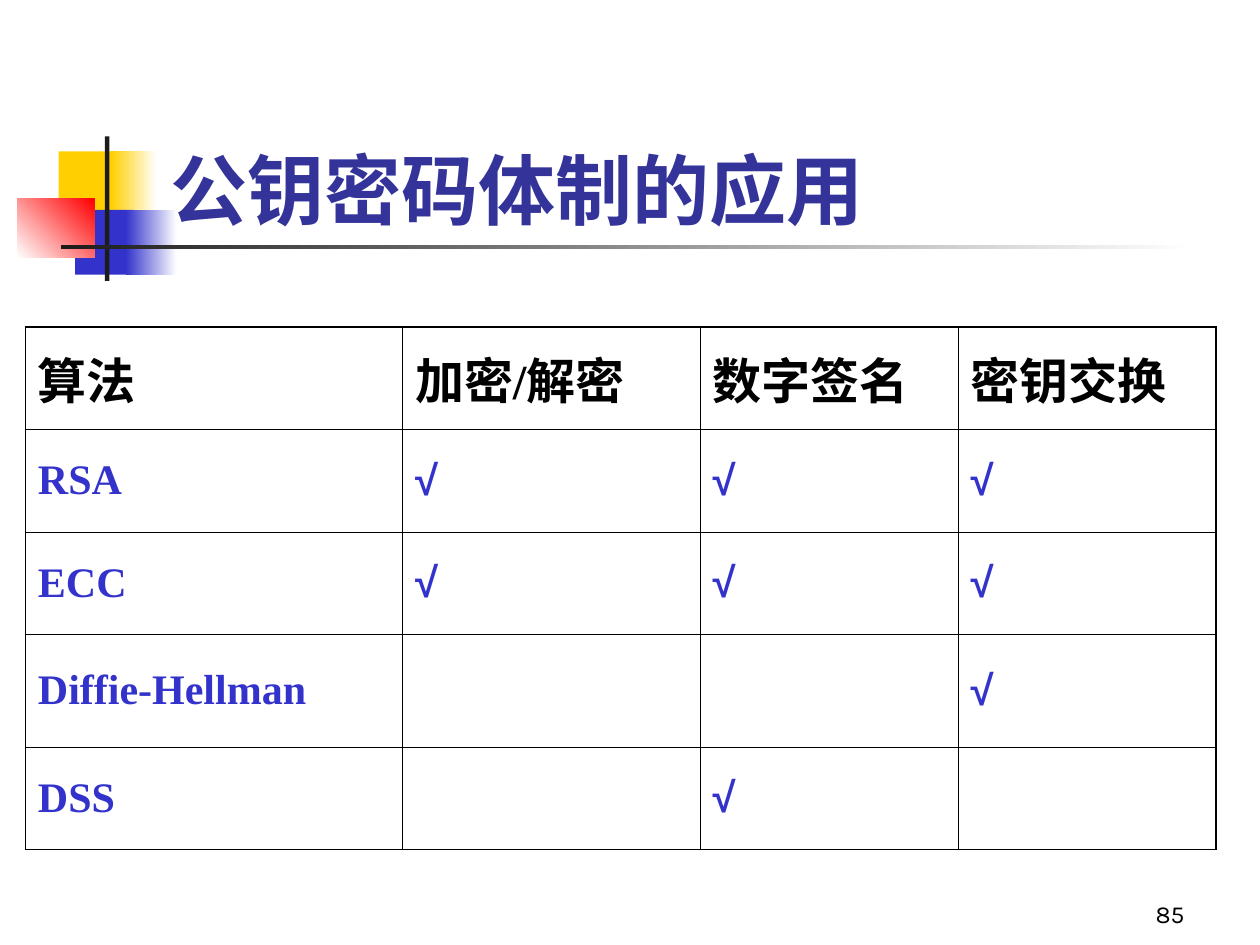
import pptx
import pptx.dml.color
import pptx.enum.shapes
import pptx.enum.text
import pptx.oxml
import pptx.oxml.ns
import pptx.util

Pt = pptx.util.Pt
ANCHOR = pptx.enum.text.MSO_ANCHOR
ALIGN = pptx.enum.text.PP_ALIGN

BLACK, WHITE, INK = "000000", "FFFFFF", "1C1C1C"
YELLOW, BLUE, RED, TITLE_BLUE = "FFCF01", "3333CC", "FF0000", "333399"
SERIF, SANS, NUMBER_FONT = "Times New Roman", "Arial", "Karla"
THIN, THICK = 0.45, 1.08

HEADER = ["算法", "加密/解密", "数字签名", "密钥交换"]
ALGORITHMS = [
    ("RSA", "√", "√", "√"),
    ("ECC", "√", "√", "√"),
    ("Diffie-Hellman", "", "", "√"),
    ("DSS", "", "√", ""),
]
COLUMN_WIDTHS = [215.5, 170, 147.5, 147.5]
ROW_HEIGHTS = [58.5, 58.5, 58.5, 64.5, 58.5]


def color(value):
    return pptx.dml.color.RGBColor.from_string(value)


def set_font(paragraph, name, size, value, bold=False):
    font = paragraph.font
    font.name, font.size, font.bold = name, Pt(size), bold
    font.color.rgb = color(value)


def add_block(slide, box, start, end=None, angle=0):
    """Rectangle with a plain fill, or a gradient when an end colour is given."""
    shape = slide.shapes.add_shape(
        pptx.enum.shapes.MSO_SHAPE.RECTANGLE, *map(Pt, box))
    shape.shadow.inherit = False
    shape.line.fill.background()
    if end is None:
        shape.fill.solid()
        shape.fill.fore_color.rgb = color(start)
        return
    shape.fill.gradient()
    shape.fill.gradient_angle = angle
    for stop, value in zip(shape.fill.gradient_stops, (start, end)):
        stop.color.rgb = color(value)


def add_ornament(slide, left, top):
    """Coloured blocks with a crosshair and a fading rule."""
    blocks = [
        (31.5, 8.5, 34.5, 37.5, YELLOW),
        (61.5, 8.5, 26, 37.5, YELLOW, WHITE),
        (41, 42, 33, 37, BLUE),
        (70, 42, 29, 37, BLUE, WHITE),
        (8, 35.5, 44, 33.5, WHITE, RED, 45),
        (58, 0, 2.5, 82.5, INK),
        (33, 62, 648, 2.5, INK, WHITE),
    ]
    for x, y, width, height, *fill in blocks:
        add_block(slide, (left + x - 8 + 10 - 0.5 - 1.5, top + y, width, height), *fill)


def add_text(slide, box, text, name, size, value, bold=False, align=ALIGN.LEFT):
    frame = slide.shapes.add_textbox(*map(Pt, box)).text_frame
    frame.word_wrap = True
    frame.vertical_anchor = ANCHOR.BOTTOM
    paragraph = frame.paragraphs[0]
    paragraph.text = text
    paragraph.alignment = align
    set_font(paragraph, name, size, value, bold)


def set_borders(cell, widths):
    properties = cell._tc.get_or_add_tcPr()
    for side, width in zip("LRTB", widths):
        properties.append(pptx.oxml.parse_xml(
            f'<a:ln{side} {pptx.oxml.ns.nsdecls("a")} w="{Pt(width)}">'
            f'<a:solidFill><a:srgbClr val="{BLACK}"/></a:solidFill></a:ln{side}>'))


def add_algorithm_table(slide, left, top):
    rows = [HEADER, *ALGORITHMS]
    last_row, last_column = len(rows) - 1, len(HEADER) - 1
    table = slide.shapes.add_table(
        len(rows), len(HEADER), Pt(left), Pt(top),
        Pt(sum(COLUMN_WIDTHS)), Pt(sum(ROW_HEIGHTS))).table
    table.first_row = table.horz_banding = False
    for column, width in zip(table.columns, COLUMN_WIDTHS):
        column.width = Pt(width)
    for row, height in zip(table.rows, ROW_HEIGHTS):
        row.height = Pt(height)

    for r, texts in enumerate(rows):
        for c, text in enumerate(texts):
            cell = table.cell(r, c)
            # Outer edges are thicker than the inner grid
            edges = (c == 0, c == last_column, r == 0, r == last_row)
            set_borders(cell, [THICK if edge else THIN for edge in edges])
            cell.fill.background()
            cell.vertical_anchor = ANCHOR.MIDDLE
            cell.text = text
            name = SANS if text == "√" else SERIF
            size, value = (28, BLACK) if r == 0 else (24, BLUE)
            set_font(cell.text_frame.paragraphs[0], name, size, value, True)


def build_slide(presentation):
    slide = presentation.slides.add_slide(presentation.slide_layouts[6])
    # Header
    add_ornament(slide, 2, 78)
    add_text(slide, (90.5, 48, 613.5, 90), "公钥密码体制的应用",
             SERIF, 44, TITLE_BLUE, True)
    # Body
    add_algorithm_table(slide, 14.5, 187)
    # Slide number
    add_text(slide, (534, 498, 150, 36), "85", NUMBER_FONT, 14, BLACK,
             align=ALIGN.RIGHT)


def main():
    presentation = pptx.Presentation()
    presentation.slide_width, presentation.slide_height = Pt(720), Pt(540)
    build_slide(presentation)
    presentation.save("out.pptx")


if __name__ == "__main__":
    main()
